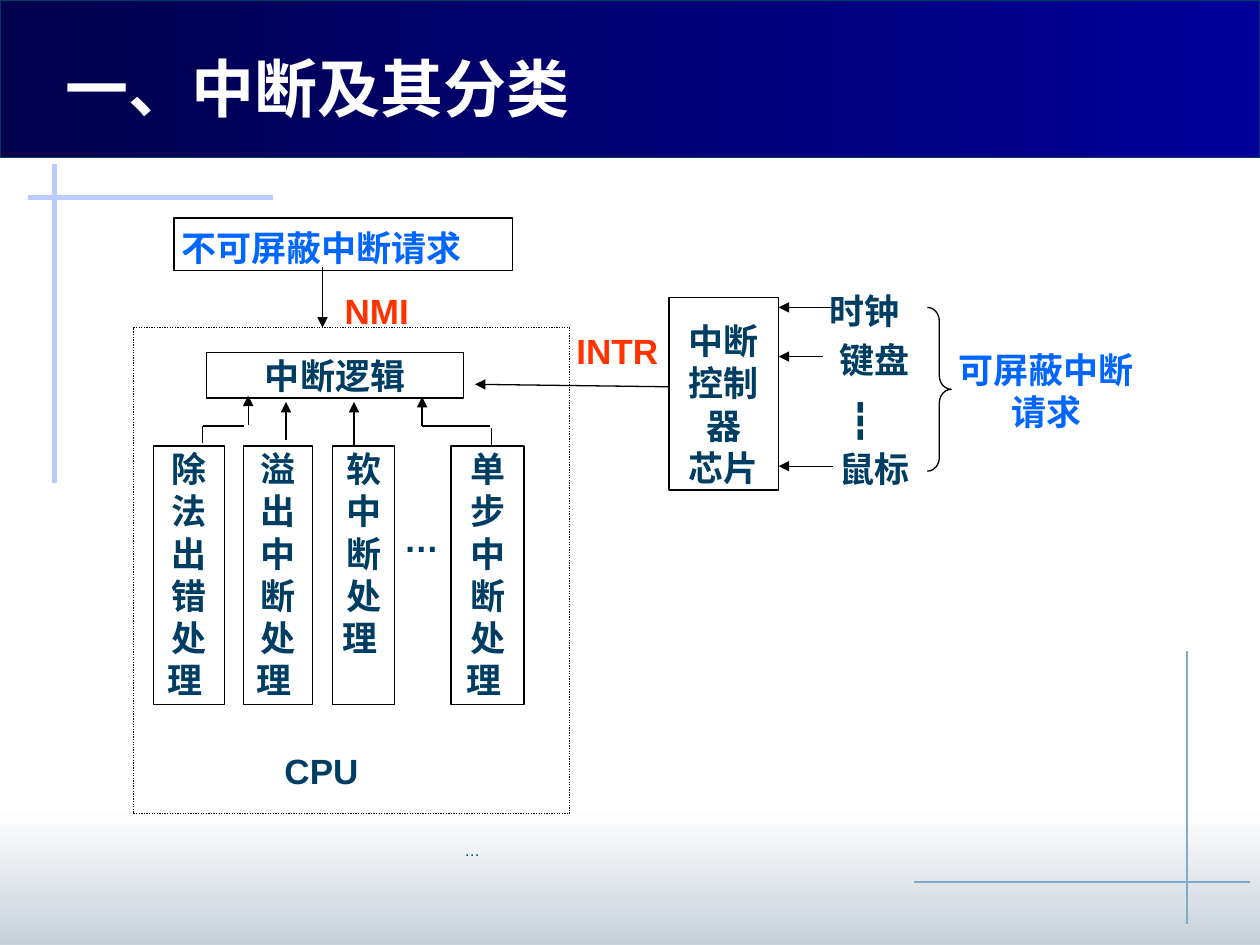
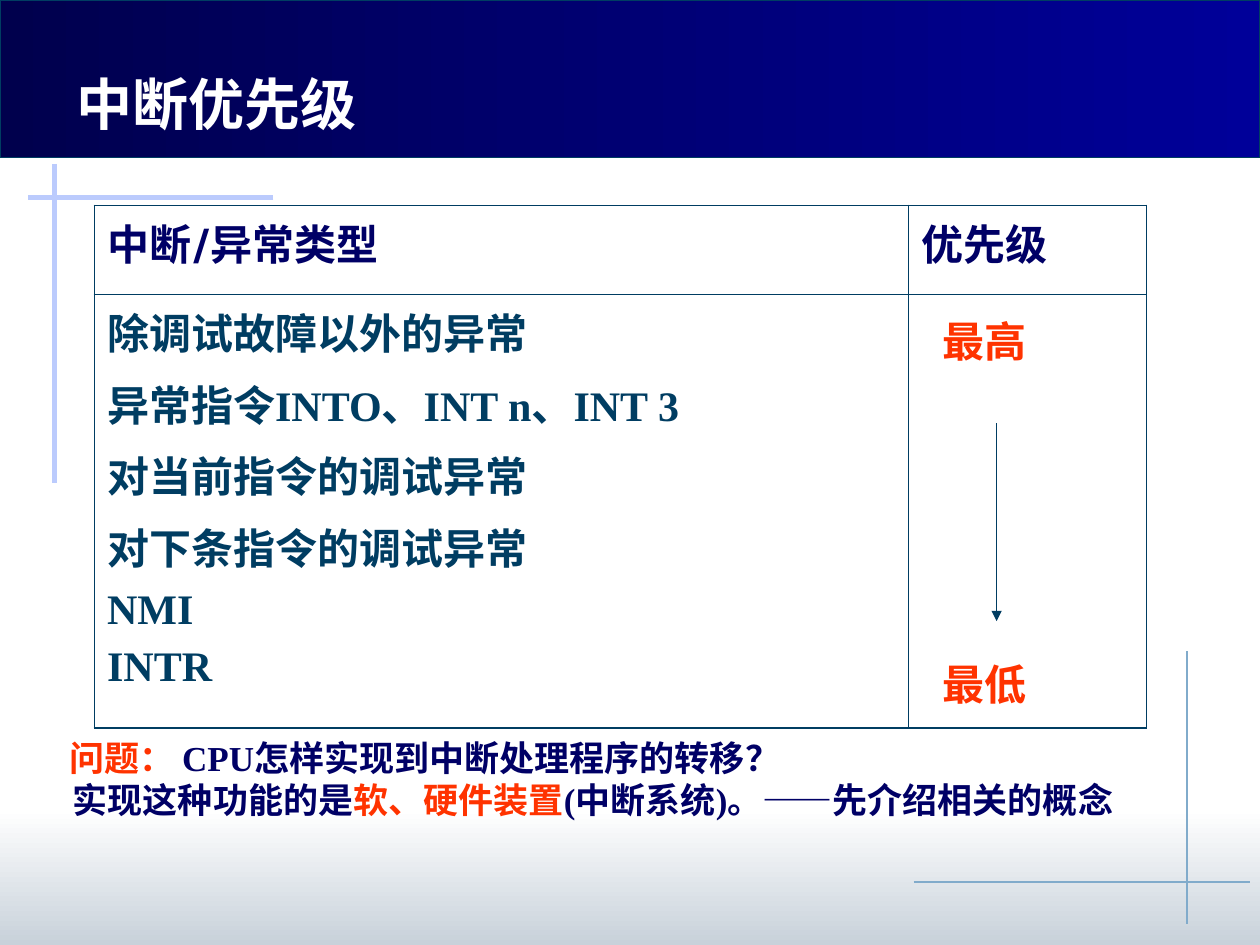
from dataclasses import dataclass
from typing import Optional

from lxml import etree
from pptx import Presentation
from pptx.dml.color import RGBColor
from pptx.enum.dml import MSO_LINE
from pptx.enum.shapes import MSO_CONNECTOR, MSO_SHAPE
from pptx.enum.text import MSO_ANCHOR, MSO_AUTO_SIZE, PP_ALIGN
from pptx.oxml.ns import qn
from pptx.util import Inches, Pt

STRAIGHT = MSO_CONNECTOR.STRAIGHT
RECT, BRACE = MSO_SHAPE.RECTANGLE, MSO_SHAPE.RIGHT_BRACE
LEFT, CENTER = PP_ALIGN.LEFT, PP_ALIGN.CENTER
TOP = MSO_ANCHOR.TOP
NO_FIT = MSO_AUTO_SIZE.NONE
DOTS = MSO_LINE.ROUND_DOT

WHITE = RGBColor(0xFF, 0xFF, 0xFF)
BLACK = RGBColor(0, 0, 0)
INK = RGBColor(0x00, 0x3D, 0x62)
NAVY = RGBColor(0x00, 0x00, 0x66)
RED = RGBColor(0xFF, 0x33, 0x00)
BLUE = RGBColor(0x00, 0x66, 0xFF)
GREY = RGBColor(0xC8, 0xD1, 0xDA)
DEEP = RGBColor(0x00, 0x00, 0x4D)
ROYAL = RGBColor(0x00, 0x00, 0x99)
PALE = RGBColor(0xBB, 0xCB, 0xFD)
STEEL = RGBColor(0x81, 0xAB, 0xCB)

SANS, SERIF, KARLA = "Arial", "Times New Roman", "Karla"
HAN, HEAD = "Noto Sans CJK SC", "Noto Sans CJK JP"

# The slide is a grid of 100 columns by 75 rows
COLS, ROWS = 100, 75
CELL = Inches(0.1)
THIN = 0.75
PAD = 0.15  # inset of diagram boxes, in cells
WIDE = (1, 0.5)  # inset of plain text, in cells


def grid(n: float) -> int:
    return round(n * CELL)


@dataclass
class Box:
    x: float
    y: float
    w: float
    h: float
    text: str = ""
    color: RGBColor = INK
    align: PP_ALIGN = LEFT
    framed: bool = False
    lead: Optional[float] = 24
    size: float = 20
    bold: bool = True
    pad: tuple = (PAD, PAD)

    def area(self) -> tuple:
        return tuple(grid(n) for n in (self.x, self.y, self.w, self.h))


@dataclass
class Line:
    x1: float
    y1: float
    x2: float
    y2: float
    arrow: bool = False
    color: RGBColor = BLACK
    width: float = THIN


def write(frame, text, *, size=20, color=INK, bold=True, face=SANS, han=HAN,
          align=LEFT, lead=None, before=0, left=0, first=0) -> None:
    """Add one paragraph; text is a string or a list of (string, colour)."""
    para = frame.paragraphs[-1]
    if para.runs:
        para = frame.add_paragraph()
    para.alignment = align
    para.space_before = Pt(before)
    if lead:
        para.line_spacing = Pt(lead)
    props = para._p.get_or_add_pPr()
    props.set("marL", str(grid(left)))
    props.set("indent", str(grid(first)))
    for part, tone in [(text, color)] if isinstance(text, str) else text:
        for i, row in enumerate(part.split("\n")):
            if i:
                para.add_line_break()
            run = para.add_run()
            run.text = row
            font = run.font
            font.name, font.size, font.bold = face, Pt(size), bold
            font.color.rgb = tone
            east = etree.SubElement(run._r.get_or_add_rPr(), qn("a:ea"))
            east.set("typeface", han)


def inset(frame, pad: tuple) -> None:
    frame.word_wrap = True
    frame.auto_size = NO_FIT
    frame.vertical_anchor = TOP
    frame.margin_left = frame.margin_right = grid(pad[0])
    frame.margin_top = frame.margin_bottom = grid(pad[1])


def draw_line(slide, line: Line):
    ends = (grid(n) for n in (line.x1, line.y1, line.x2, line.y2))
    shape = slide.shapes.add_connector(STRAIGHT, *ends)
    shape.line.color.rgb = line.color
    shape.line.width = Pt(line.width)
    etree.SubElement(shape._element.spPr, qn("a:effectLst"))
    if line.arrow:
        tail = etree.SubElement(shape.line._get_or_add_ln(), qn("a:tailEnd"))
        tail.set("type", "triangle")
    return shape


def draw_box(slide, box: Box):
    if box.framed:
        shape = slide.shapes.add_shape(RECT, *box.area())
        shape.shadow.inherit = False
        shape.fill.solid()
        shape.fill.fore_color.rgb = WHITE
        shape.line.color.rgb = BLACK
        shape.line.width = Pt(THIN)
    else:
        shape = slide.shapes.add_textbox(*box.area())
    if box.text:
        inset(shape.text_frame, box.pad)
        write(shape.text_frame, box.text, size=box.size, color=box.color,
              bold=box.bold, align=box.align, lead=box.lead)
    return shape


def draw_band(slide, box: Box, start: RGBColor, end: RGBColor, angle: int):
    band = slide.shapes.add_shape(RECT, *box.area())
    band.shadow.inherit = False
    band.fill.gradient()
    band.fill.gradient_angle = angle
    for stop, tone in zip(band.fill.gradient_stops, (start, end)):
        stop.color.rgb = tone
    band.line.fill.background()
    return band


def dress(layout, slide) -> None:
    """Draw the shared bands and crosses, then hand them to the layout."""
    foot = draw_band(slide, Box(0, 64.2, COLS, 10.8), WHITE, GREY, 270)
    top = draw_band(slide, Box(0, 0, COLS, 12.5), DEEP, ROYAL, 0)
    top.line.color.rgb = INK
    top.line.width = Pt(THIN)
    cross = [draw_line(slide, line) for line in (
        Line(94.2, 51.7, 94.2, 73.3, color=STEEL),
        Line(72.5, 70, 99.2, 70, color=STEEL),
        Line(21.7, 15.7, 2.2, 15.7, color=PALE, width=3),
        Line(4.3, 13, 4.3, 38.3, color=PALE, width=3),
    )]
    tree = layout.shapes.element
    for i, shape in enumerate([foot, top, *cross]):
        shape.element.xpath(".//p:cNvPr")[0].set("id", str(100 + i))
        tree.insert(2 + i, shape.element)


def set_title(slide, text: str, box: Box, face: str, han: str) -> None:
    title = slide.shapes.title
    title.left, title.top, title.width, title.height = box.area()
    inset(title.text_frame, WIDE)
    write(title.text_frame, text, size=box.size, color=WHITE,
          face=face, han=han, lead=box.lead)


def fill_kinds(slide) -> None:
    """Diagram of the interrupt sources and the path of each to the CPU."""
    set_title(slide, "一、中断及其分类",
              Box(4.2, 2.8, 78.9, 7.2, size=36, lead=48), HEAD, HEAD)
    frame = draw_box(slide, Box(10.6, 26, 34.6, 38.6, framed=True))
    frame.line.dash_style = DOTS

    faults = [
        (12.2, 5.6, "除法出错处理 "), (19.3, 5.5, "溢出中断处理 "),
        (26.4, 4.9, "软 中断处理 "), (35.8, 5.8, "单步中断处理 "),
    ]
    for x, w, name in faults:
        draw_box(slide, Box(x, 35.4, w, 20.5, name, align=CENTER, framed=True))

    sources = [(65.7, 22.8, "时钟"), (66.5, 26.7, "键盘"), (66.5, 35.4, "鼠标")]
    for x, y, name in sources:
        draw_box(slide, Box(x, y, 9, 4, name))

    for box in (
        Box(36.7, 66.6, 2.8, 1.9, "…", size=9, bold=False, lead=None),
        Box(27.2, 22.8, 8.4, 2.6, "NMI", RED),
        Box(45.6, 26, 9.1, 4.4, "INTR", RED),
        Box(16.4, 28, 20.4, 3.6, "中断逻辑", align=CENTER, framed=True),
        Box(13.8, 17.3, 26.9, 4.2, "不可屏蔽中断请求", BLUE, framed=True,
            lead=28, pad=(0.6, PAD)),
        Box(53.1, 23.6, 8.7, 15.3, "中断\n控制\n器\n芯片", align=CENTER,
            framed=True, pad=(PAD, 1.8)),
        Box(75.2, 27.5, 15.7, 7.9, "可屏蔽中断请求", BLUE, CENTER),
        Box(67.3, 31.5, 3.5, 3.5, "┇"),
        Box(31.9, 40.9, 3.5, 2.3, "…"),
        Box(21.6, 59, 9.4, 4.4, "CPU", pad=WIDE),
    ):
        draw_box(slide, box)

    for line in (
        Line(16.1, 35.2, 16.1, 33.8), Line(16.1, 33.8, 19.4, 33.8),
        Line(19.7, 33.7, 19.7, 31.4, True),
        Line(22.7, 34.9, 22.7, 31.9, True),
        Line(28.1, 35.4, 28.1, 31.9, True),
        Line(39, 35.4, 39, 34), Line(33.5, 33.8, 38.9, 33.8),
        Line(33.5, 33.8, 33.5, 31.5, True),
        Line(25.6, 21.2, 25.6, 26, True),
        Line(53.1, 30.7, 37.7, 30.5, True),
        Line(66.1, 24.4, 61.8, 24.4, True),
        Line(65.3, 28.3, 61.8, 28.3, True),
        Line(66.1, 37, 61.8, 37, True),
    ):
        draw_line(slide, line)

    brace = slide.shapes.add_shape(BRACE, *Box(73.6, 24.4, 1.9, 13).area())
    brace.shadow.inherit = False
    brace.adjustments[0] = 0.57
    brace.fill.background()
    brace.line.color.rgb = BLACK
    brace.line.width = Pt(THIN)


def edge(cell, row: int, col: int) -> None:
    """Rule a cell of the 2 by 2 table: heavy outside, fine inside."""
    props = cell._tc.get_or_add_tcPr()
    outer = {"L": col == 0, "R": col == 1, "T": row == 0, "B": row == 1}
    for side, heavy in outer.items():
        rule = etree.SubElement(props, qn(f"a:ln{side}"))
        rule.set("w", str(Pt(1.08 if heavy else 0.45)))
        fill = etree.SubElement(rule, qn("a:solidFill"))
        etree.SubElement(fill, qn("a:srgbClr")).set("val", str(INK))
    cell.fill.background()


def fill_ranks(slide) -> None:
    """Table of interrupt priorities with the closing question."""
    set_title(slide, "中断优先级",
              Box(5.1, 4.5, 30, 6.4, size=32, lead=42), KARLA, HAN)
    area = Box(7.5, 16.3, 83.5, 41.5).area()
    table = slide.shapes.add_table(2, 2, *area).table
    table.first_row = table.horz_banding = False
    for col, w in zip(table.columns, (64.6, 18.9)):
        col.width = grid(w)
    for row, h in zip(table.rows, (7.1, 34.4)):
        row.height = grid(h)
    for r in range(2):
        for c in range(2):
            edge(table.cell(r, c), r, c)

    for c, name in enumerate(("中断/异常类型", "优先级")):
        write(table.cell(0, c).text_frame, name, size=24, color=NAVY, face=KARLA)
    kinds = ("除调试故障以外的异常", "异常指令INTO、INT n、INT 3",
             "对当前指令的调试异常", "对下条指令的调试异常", "NMI", "INTR")
    for i, kind in enumerate(kinds):
        write(table.cell(1, 0).text_frame, kind, size=24, face=SERIF,
              before=6 if i else 0)
    for rank, gap in (("最高", 0), ("最低", 157)):
        write(table.cell(1, 1).text_frame, rank, size=24, color=RED,
              face=KARLA, lead=39, before=gap, left=1.7)
    draw_line(slide, Line(79.1, 33.6, 79.1, 49.3, True, INK))

    note = draw_box(slide, Box(2, 58, 89, 11)).text_frame
    inset(note, WIDE)
    write(note, [("问题： ", RED), ("CPU怎样实现到中断处理程序的转移？", NAVY)],
          face=SERIF, lead=24, first=2.5)
    write(note, [("实现这种功能的是", NAVY), ("软、硬件装置", RED),
                 ("(中断系统)。——先介绍相关的概念", NAVY)],
          face=SERIF, lead=24, first=2.8)


def main() -> None:
    deck = Presentation()
    deck.slide_width, deck.slide_height = grid(COLS), grid(ROWS)
    layout = deck.slide_layouts[5]
    kinds, ranks = (deck.slides.add_slide(layout) for _ in range(2))
    dress(layout, kinds)
    fill_kinds(kinds)
    fill_ranks(ranks)
    deck.save("out.pptx")


if __name__ == "__main__":
    main()
